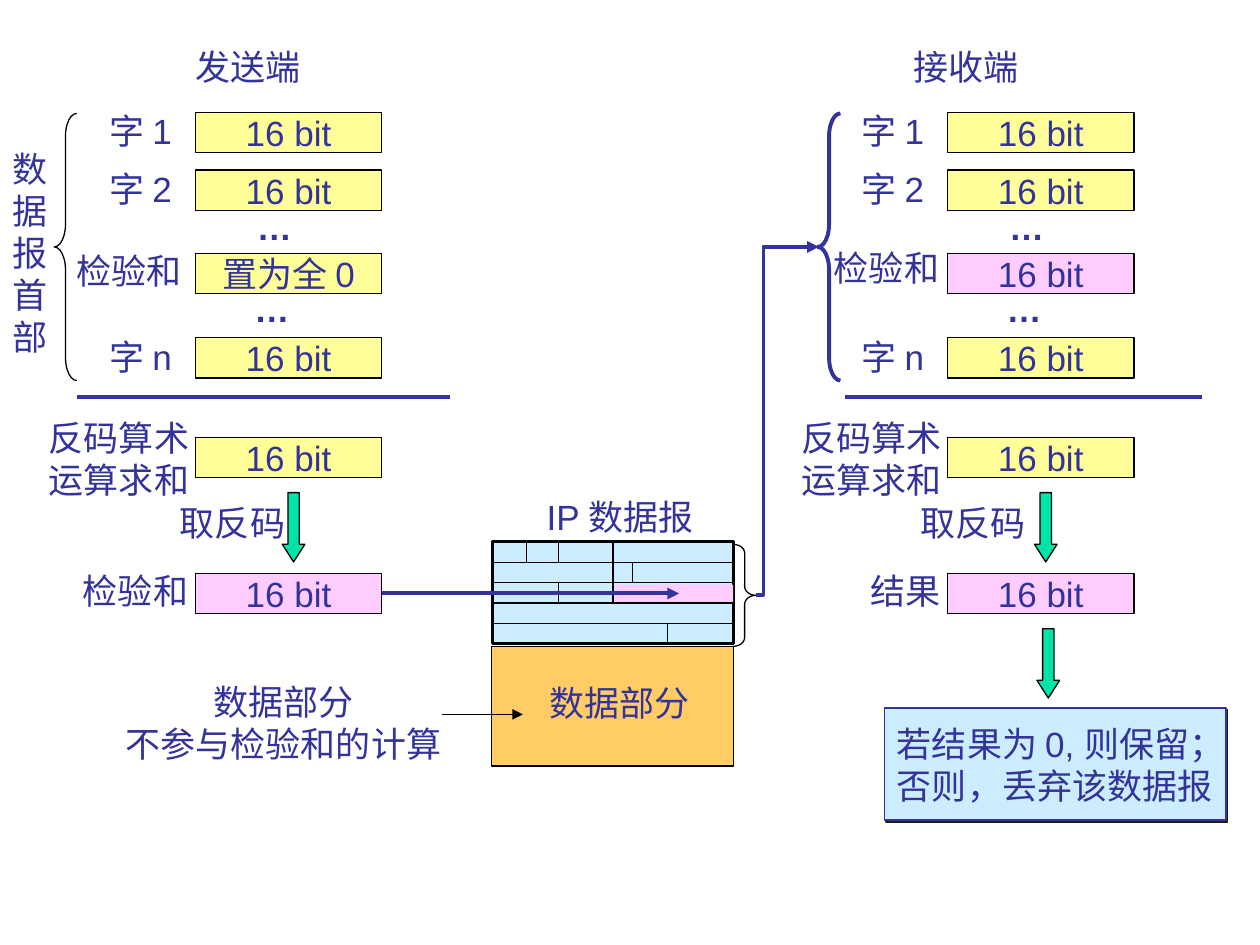
from pptx import Presentation
from pptx.dml.color import RGBColor
from pptx.enum.shapes import MSO_CONNECTOR, MSO_SHAPE as SHAPE
from pptx.enum.text import MSO_ANCHOR, MSO_AUTO_SIZE, PP_ALIGN as ALIGN
from pptx.oxml import parse_xml
from pptx.oxml.ns import nsdecls
from pptx.util import Inches, Pt

INK, BLACK = "333399", "000000"
YELLOW, PINK, BLUE = "FFFF99", "FFCCFF", "CCECFF"
ORANGE, GREEN = "FFCC66", "00E4A8"


def rgb(value):
    """Turn a hex string into a colour."""
    return RGBColor.from_string(value)


def write(sp, text, align=ALIGN.LEFT, bold=False):
    """Write unwrapped text, one paragraph per line."""
    tf = sp.text_frame
    tf.word_wrap = False
    for i, words in enumerate(text.split("\n")):
        p = tf.paragraphs[0] if i == 0 else tf.add_paragraph()
        p.alignment = align
        r = p.add_run()
        r.text = words
        r.font.name, r.font.size, r.font.bold = "Arial", Pt(20), bold
        r.font.color.rgb = rgb(INK)


def add_label(s, x, y, w, text, h=0.44, align=ALIGN.LEFT, bold=False):
    """Add a text box that fits its text."""
    sp = s.shapes.add_textbox(Inches(x), Inches(y), Inches(w), Inches(h))
    write(sp, text, align, bold)
    sp.text_frame.auto_size = MSO_AUTO_SIZE.SHAPE_TO_FIT_TEXT


def add_shape(s, kind, x, y, w, h, fill=None, line=BLACK, width=0.75, adj=()):
    """Add a preset shape with a plain fill and outline."""
    sp = s.shapes.add_shape(kind, Inches(x), Inches(y), Inches(w), Inches(h))
    sp.shadow.inherit = False
    for i, value in enumerate(adj):
        sp.adjustments[i] = value
    if fill:
        sp.fill.solid()
        sp.fill.fore_color.rgb = rgb(fill)
    else:
        sp.fill.background()
    if line:
        sp.line.color.rgb = rgb(line)
        sp.line.width = Pt(width)
    else:
        sp.line.fill.background()
    return sp


def add_box(s, x, y, text, fill=YELLOW):
    """Add one 16-bit word box."""
    sp = add_shape(s, SHAPE.RECTANGLE, x, y, 1.48, 0.32, fill)
    sp.text_frame.vertical_anchor = MSO_ANCHOR.MIDDLE
    write(sp, text, ALIGN.CENTER)
    return sp


def add_down_arrow(s, x, y):
    """Add a green block arrow."""
    add_shape(s, SHAPE.DOWN_ARROW, x, y, 0.18, 0.55, GREEN, adj=(0.5, 0.78))


def add_arrowhead(sp):
    """Put a triangle at the end of a line."""
    sp.line._get_or_add_ln().append(
        parse_xml(f'<a:tailEnd {nsdecls("a")} type="triangle"/>'))


def add_line(s, x1, y1, x2, y2, color=BLACK, width=0.75, arrow=False, start=None):
    """Add a straight line, joined to a (shape, site) start if given."""
    c = s.shapes.add_connector(MSO_CONNECTOR.STRAIGHT, Inches(x1), Inches(y1),
                               Inches(x2), Inches(y2))
    if start:
        c.begin_connect(*start)
    c.line.color.rgb = rgb(color)
    c.line.width = Pt(width)
    if arrow:
        add_arrowhead(c)
    c._element.spPr.append(parse_xml(f'<a:effectLst {nsdecls("a")}/>'))


def add_elbow(s, points):
    """Add a bent arrow through the given points."""
    fb = s.shapes.build_freeform(*map(Inches, points[0]), scale=1.0)
    fb.add_line_segments([tuple(map(Inches, pt)) for pt in points[1:]], close=False)
    sp = fb.convert_to_shape()
    sp.shadow.inherit = False
    sp.fill.background()
    sp.line.color.rgb = rgb(INK)
    sp.line.width = Pt(2.25)
    add_arrowhead(sp)


def add_side(s, x, heading, checksum, total, rule):
    """Add one end's words, sum and result; return the result box."""
    add_label(s, heading[0], 0.31, 1.05, heading[1])
    for y, name in ((0.89, "字 1"), (1.35, "字 2"), (2.68, "字 n")):
        add_box(s, x, y, "16 bit")
        add_label(s, x - 0.78, y - 0.07, 0.78, name)
    label_x, label_y, text, fill = checksum
    add_box(s, x, 2.01, text, fill)
    add_label(s, label_x, label_y, 1.05, "检验和")
    for dx, y in ((0.39, 1.58), (0.37, 2.23)):
        add_label(s, x + dx, y, 0.49, "…", bold=True)
    add_line(s, rule[0], 3.15, rule[1], 3.15, INK, 2.25)
    add_box(s, x, 3.47, "16 bit")
    add_label(s, x - 1.26, 3.26, 1.33, "反码算术\n运算求和", 0.77)
    add_down_arrow(s, x + 0.69, 3.91)
    label_x, label_w, name, invert_x = total
    add_label(s, invert_x, 3.93, 1.05, "取反码")
    add_label(s, label_x, 4.47, label_w, name)
    return add_box(s, x, 4.55, "16 bit", PINK)


def add_datagram(s):
    """Add the IP datagram: header grid above the data part."""
    left, right, top, row = 3.91, 5.82, 4.3, 0.162
    middle = (left + right) / 2
    add_shape(s, SHAPE.RECTANGLE, 3.9, 5.13, 1.92, 0.95, ORANGE)
    header = add_shape(s, SHAPE.RECTANGLE, left, top, right - left, 0.81, BLUE, width=1.5)
    add_shape(s, SHAPE.RECTANGLE, 4.88, 4.64, 0.94, 0.15, PINK, None)
    for i in range(1, 6):
        add_line(s, left, top + i * row, right, top + i * row)
    add_line(s, middle, top, middle, top + 3 * row, start=(header, 0))
    for x, i in ((4.18, 0), (4.43, 0), (5.02, 1), (4.43, 2), (5.3, 4)):
        add_line(s, x, top + i * row, x, top + (i + 1) * row)
    add_label(s, 4.24, 3.88, 1.46, "IP 数据报")
    add_label(s, 4.26, 5.36, 1.33, "数据部分")
    add_shape(s, SHAPE.RIGHT_BRACE, right, 4.32, 0.18, 0.81, adj=(0.39, 0.5))


def add_verdict(s):
    """Add the shadowed box that tells what the result means."""
    sp = add_shape(s, SHAPE.RECTANGLE, 7.02, 5.62, 2.71, 0.89, BLUE, INK, 1)
    sp.text_frame.vertical_anchor = MSO_ANCHOR.MIDDLE
    write(sp, "若结果为 0, 则保留；\n否则，丢弃该数据报")
    sp._element.spPr.find("{*}effectLst").append(parse_xml(
        f'<a:outerShdw {nsdecls("a")} dist="{Pt(1.4)}" dir="2700000" algn="ctr" '
        'rotWithShape="0"><a:srgbClr val="1C1C1C"/></a:outerShdw>'))


def main():
    """Build the checksum slide."""
    prs = Presentation()
    prs.slide_width, prs.slide_height = Inches(10), Inches(7.5)
    s = prs.slides.add_slide(prs.slide_layouts[6])
    add_datagram(s)
    checksum = add_side(s, 1.55, (1.45, "发送端"), (0.51, 1.93, "置为全 0", YELLOW),
                        (0.56, 1.05, "检验和", 1.33), (0.61, 3.57))
    add_side(s, 7.52, (7.15, "接收端"), (6.52, 1.91, "16 bit", PINK),
             (6.81, 0.78, "结果", 7.21), (6.71, 9.54))
    add_shape(s, SHAPE.LEFT_BRACE, 0.43, 0.9, 0.18, 2.12, adj=(1, 0.5))
    add_shape(s, SHAPE.LEFT_BRACE, 6.49, 0.9, 0.18, 2.12, line=INK, width=2.25, adj=(1, 0.5))
    add_label(s, 0, 1.12, 0.49, "数\n据\n报\n首\n部", 1.77)
    add_line(s, 3.03, 4.71, 5.39, 4.71, INK, 2.25, True, (checksum, 3))
    add_elbow(s, [(6, 4.72), (6.06, 4.72), (6.06, 1.96), (6.5, 1.96)])
    add_down_arrow(s, 8.23, 4.99)
    add_verdict(s)
    add_label(s, 0.88, 5.35, 2.74, "数据部分\n不参与检验和的计算", 0.77, ALIGN.CENTER)
    add_line(s, 3.51, 5.67, 4.15, 5.67, arrow=True)
    prs.save("out.pptx")


if __name__ == "__main__":
    main()
